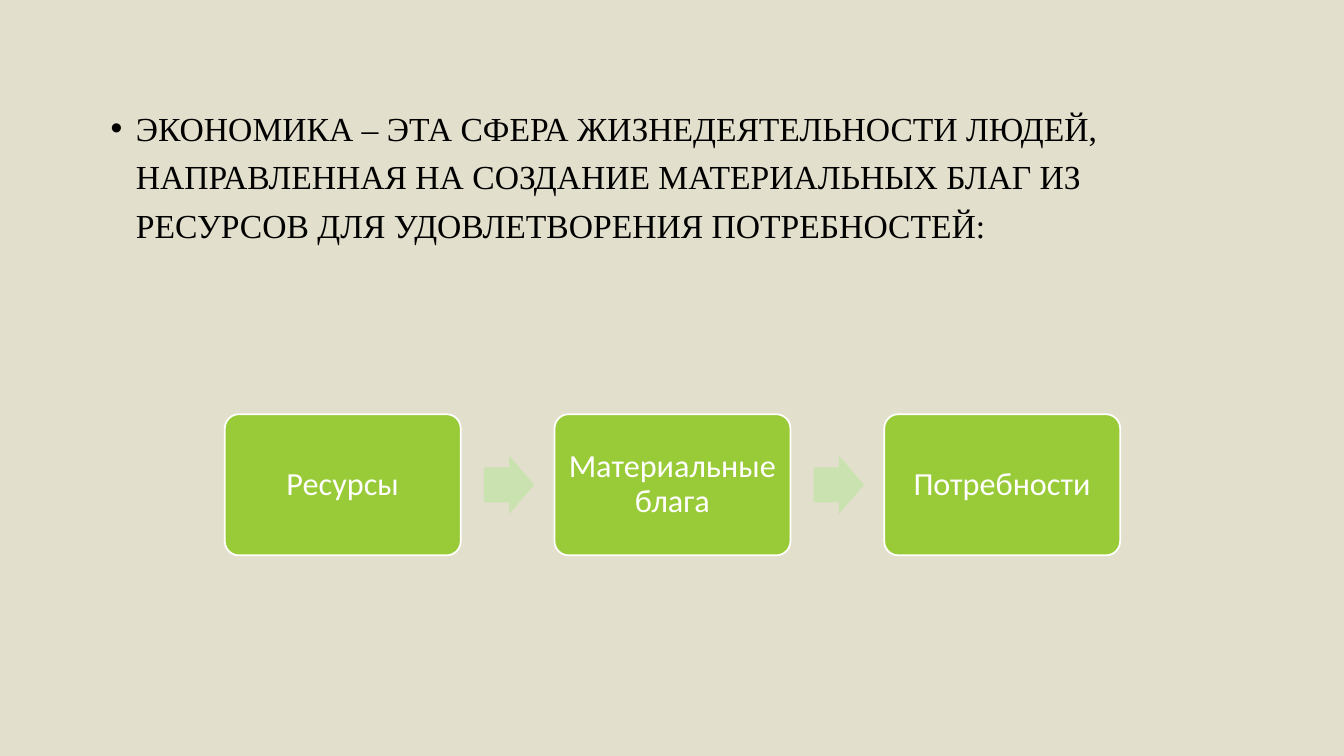
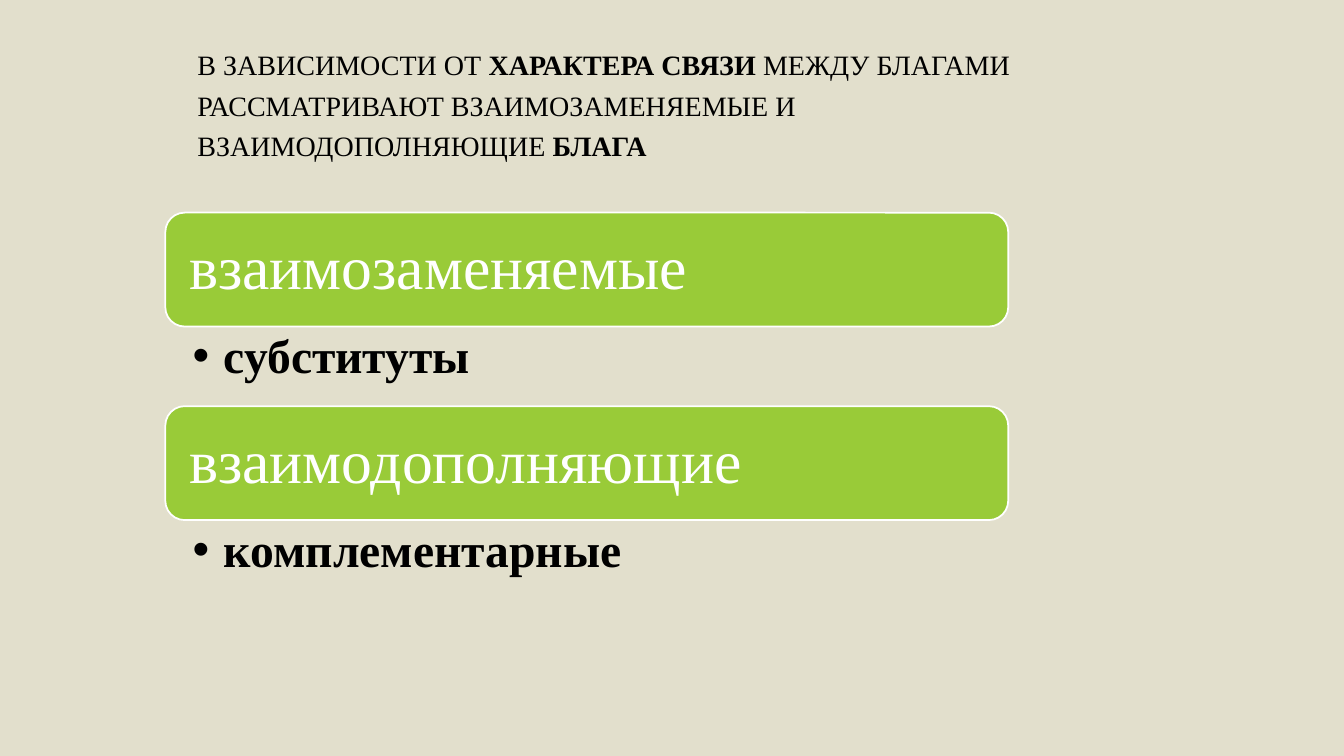
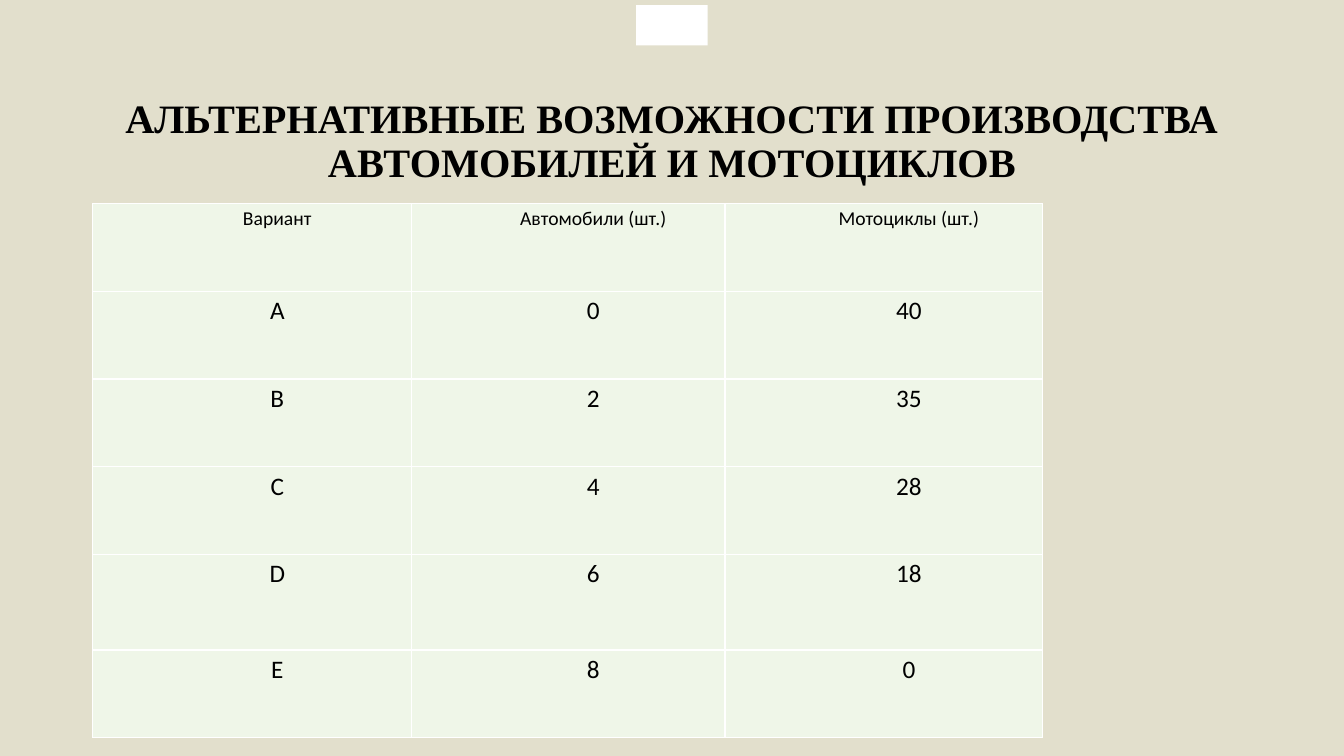
import pptx
import pptx.dml.color
import pptx.enum.shapes
import pptx.enum.text
import pptx.oxml
import pptx.oxml.ns
import pptx.util

Inches = pptx.util.Inches
Pt = pptx.util.Pt
SHAPE = pptx.enum.shapes.MSO_SHAPE
ALIGN = pptx.enum.text.PP_ALIGN
ANCHOR = pptx.enum.text.MSO_ANCHOR

COLORS = {
    "background": "E2DFCC",
    "text": "000000",
    "white": "FFFFFF",
    "box": "99CB38",
    "arrow": "CAE2AF",
    "cell": "EFF6E8",
}
SERIF = "Times New Roman"
SANS = "Calibri"
DEFAULT_INSETS = (0.1, 0.05, 0.1, 0.05)


def rgb(name):
    return pptx.dml.color.RGBColor.from_string(COLORS[name])


def new_slide(prs):
    return prs.slides.add_slide(prs.slide_layouts[6])


def write_paragraph(tf, runs, size, font=SERIF, color="text", align=ALIGN.LEFT,
                    spacing=0.9, before=0, margin=0, indent=0, bullet=False):
    """Fill the first paragraph with (text, bold) runs."""
    p = tf.paragraphs[0]
    p.alignment = align
    p.line_spacing = spacing
    p.space_before = Pt(before)
    pPr = p._p.get_or_add_pPr()
    pPr.set("marL", str(Inches(margin)))
    pPr.set("indent", str(Inches(indent)))
    if bullet:
        ns = pptx.oxml.ns.nsdecls("a")
        pPr.append(pptx.oxml.parse_xml(f'<a:buFont {ns} typeface="Arial"/>'))
        pPr.append(pptx.oxml.parse_xml(f'<a:buChar {ns} char="•"/>'))
    for text, bold in runs:
        r = p.add_run()
        r.text = text
        r.font.size = Pt(size)
        r.font.name = font
        r.font.bold = bold
        r.font.color.rgb = rgb(color)


def set_frame(tf, insets, anchor):
    tf.word_wrap = True
    tf.vertical_anchor = anchor
    tf.margin_left, tf.margin_top, tf.margin_right, tf.margin_bottom = map(Inches, insets)


def add_text(s, box, runs, size, insets=DEFAULT_INSETS, **style):
    tf = s.shapes.add_textbox(*map(Inches, box)).text_frame
    set_frame(tf, insets, ANCHOR.TOP)
    write_paragraph(tf, runs, size, **style)


def add_plain_shape(s, kind, box, fill):
    sp = s.shapes.add_shape(kind, *map(Inches, box))
    sp.shadow.inherit = False
    sp.fill.solid()
    sp.fill.fore_color.rgb = rgb(fill)
    sp.line.fill.background()
    return sp


def add_label_box(s, box, text, size, insets, radius, **style):
    sp = add_plain_shape(s, SHAPE.ROUNDED_RECTANGLE, box, "box")
    sp.adjustments[0] = radius
    sp.line.color.rgb = rgb("white")
    sp.line.width = Pt(1.25)
    set_frame(sp.text_frame, insets, ANCHOR.MIDDLE)
    write_paragraph(sp.text_frame, [(text, False)], size, color="white", **style)


def set_borders(cell):
    tcPr = cell._tc.get_or_add_tcPr()
    for i, side in enumerate(("lnL", "lnR", "lnT", "lnB")):
        tcPr.insert(i, pptx.oxml.parse_xml(
            f'<a:{side} {pptx.oxml.ns.nsdecls("a")} w="{Pt(1)}"><a:solidFill>'
            f'<a:srgbClr val="{COLORS["white"]}"/></a:solidFill></a:{side}>'))


def add_table(s, left, top, widths, heights, rows):
    box = map(Inches, (left, top, sum(widths), sum(heights)))
    table = s.shapes.add_table(len(rows), len(widths), *box).table
    table.first_row = table.horz_banding = False
    for column, width in zip(table.columns, widths):
        column.width = Inches(width)
    for row, height in zip(table.rows, heights):
        row.height = Inches(height)
    for i, values in enumerate(rows):
        for j, value in enumerate(values):
            cell = table.cell(i, j)
            cell.fill.solid()
            cell.fill.fore_color.rgb = rgb("cell")
            cell.margin_left = cell.margin_right = Inches(0.03)
            cell.margin_top = cell.margin_bottom = 0
            write_paragraph(cell.text_frame, [(value, False)], 18 if i else 14, font=SANS,
                            align=ALIGN.CENTER, spacing=1.15, indent=0.5)
            set_borders(cell)


def economy_slide(prs):
    s = new_slide(prs)
    definition = ("ЭКОНОМИКА – ЭТА СФЕРА ЖИЗНЕДЕЯТЕЛЬНОСТИ ЛЮДЕЙ, НАПРАВЛЕННАЯ НА СОЗДАНИЕ "
                  "МАТЕРИАЛЬНЫХ БЛАГ ИЗ РЕСУРСОВ ДЛЯ УДОВЛЕТВОРЕНИЯ ПОТРЕБНОСТЕЙ:")
    add_text(s, (1, 0.94, 11.33, 5.39), [(definition, False)], 24, spacing=1.2, before=10,
             margin=0.25, indent=-0.25, bullet=True)
    steps = ("Ресурсы", "Материальные блага", "Потребности")
    left, pitch, width = 2.23, 3.27, 2.34
    for i, step in enumerate(steps):
        x = left + i * pitch
        add_label_box(s, (x, 4.11, width, 1.4), step, 23, (0.08, 0.1, 0.08, 0.1), 0.1,
                      font=SANS, align=ALIGN.CENTER)
        if i < len(steps) - 1:
            arrow = add_plain_shape(s, SHAPE.RIGHT_ARROW, (x + width + 0.23, 4.52, 0.5, 0.58),
                                    "arrow")
            arrow.adjustments[0] = 0.6


def goods_slide(prs):
    s = new_slide(prs)
    add_text(s, (1.86, 0.36, 9.37, 6.85), [
        ("В ЗАВИСИМОСТИ ОТ ", False),
        ("ХАРАКТЕРА СВЯЗИ", True),
        (" МЕЖДУ БЛАГАМИ РАССМАТРИВАЮТ ВЗАИМОЗАМЕНЯЕМЫЕ И ВЗАИМОДОПОЛНЯЮЩИЕ ", False),
        ("БЛАГА", True),
    ], 20, spacing=1.2, before=10)
    kinds = (("взаимозаменяемые", "субституты"), ("взаимодополняющие", "комплементарные"))
    left, width, height = 1.64, 8.36, 1.13
    for i, (kind, term) in enumerate(kinds):
        y = 2.11 + i * 1.92
        add_label_box(s, (left, y, width, height), kind, 44, (0.18,) * 4, 0.17)
        add_text(s, (left, y + height, width, 0.8), [(term, True)], 34,
                 insets=(0.27, 0.06, 0.34, 0.06), margin=0.31, indent=-0.31, bullet=True)


def production_slide(prs):
    s = new_slide(prs)
    title = "АЛЬТЕРНАТИВНЫЕ ВОЗМОЖНОСТИ ПРОИЗВОДСТВА АВТОМОБИЛЕЙ И МОТОЦИКЛОВ"
    add_text(s, (1, 0.68, 11.33, 1.75), [(title, True)], 28.8, insets=(0.1, 0.3, 0.1, 0.05),
             align=ALIGN.CENTER)
    add_table(s, 0.92, 2.02, (3.16, 3.11, 3.15), (0.87, 0.87, 0.87, 0.87, 0.95, 0.87), (
        ("Вариант", "Автомобили (шт.)", "Мотоциклы (шт.)"),
        ("А", "0", "40"),
        ("В", "2", "35"),
        ("С", "4", "28"),
        ("D", "6", "18"),
        ("Е", "8", "0"),
    ))
    add_plain_shape(s, SHAPE.RECTANGLE, (6.31, 0.05, 0.71, 0.4), "white")


def main():
    prs = pptx.Presentation()
    prs.slide_width, prs.slide_height = Inches(13.33), Inches(7.5)
    background = prs.slide_master.background.fill
    background.solid()
    background.fore_color.rgb = rgb("background")
    economy_slide(prs)
    goods_slide(prs)
    production_slide(prs)
    prs.save("out.pptx")


if __name__ == "__main__":
    main()
